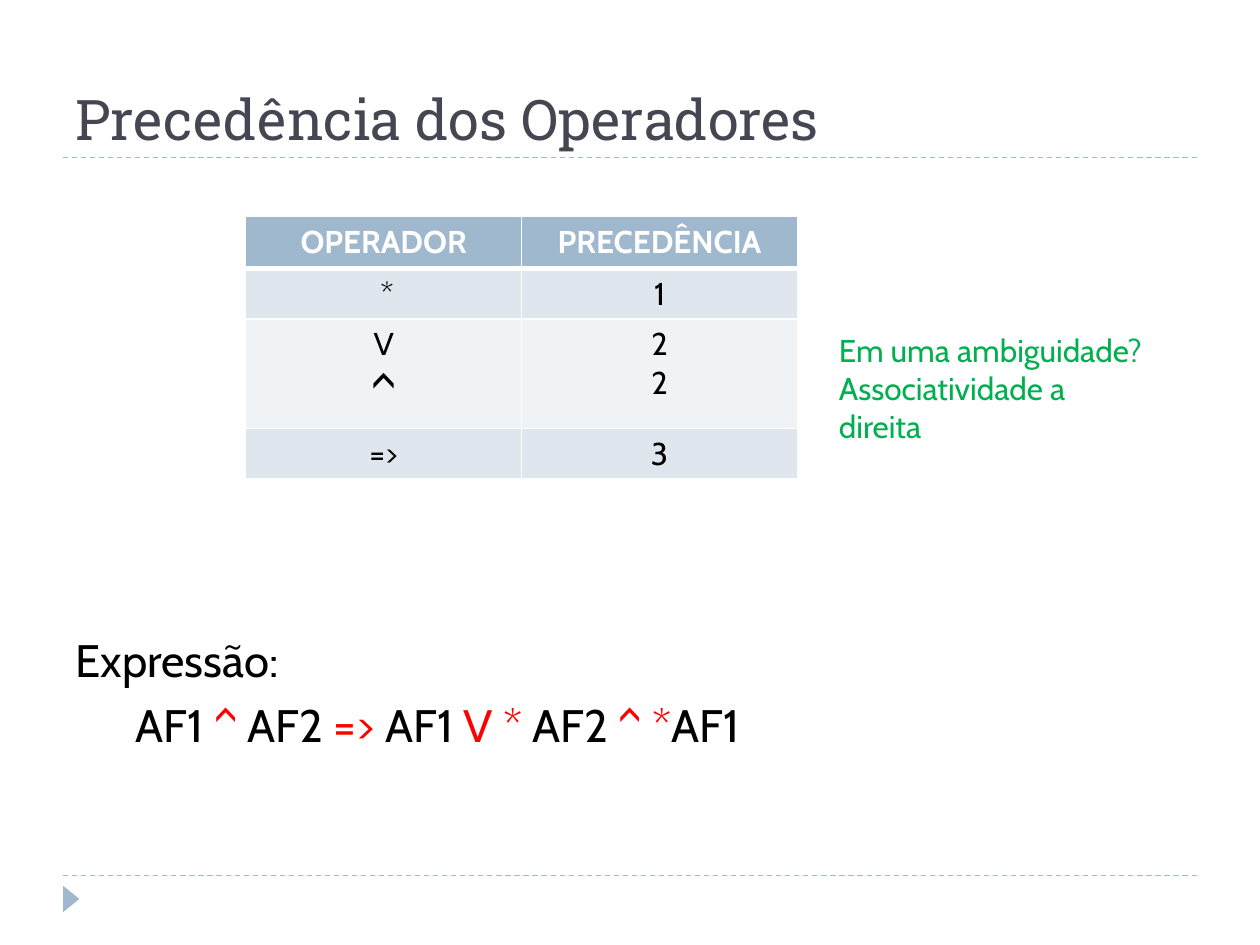
from lxml import etree
from pptx import Presentation
from pptx.dml.color import RGBColor
from pptx.enum.dml import MSO_LINE
from pptx.enum.shapes import MSO_CONNECTOR, MSO_SHAPE
from pptx.enum.text import MSO_ANCHOR, PP_ALIGN
from pptx.oxml import parse_xml
from pptx.oxml.ns import qn
from pptx.util import Inches, Pt

BLUE = RGBColor(0x9F, 0xB8, 0xCD)
BAND_DARK = RGBColor(0xDF, 0xE6, 0xED)
BAND_LIGHT = RGBColor(0xF0, 0xF3, 0xF6)
SLATE = RGBColor(0x46, 0x46, 0x53)
GREEN = RGBColor(0x00, 0xB0, 0x50)
RED = RGBColor(0xFF, 0x00, 0x00)
BLACK = RGBColor(0x00, 0x00, 0x00)
WHITE = RGBColor(0xFF, 0xFF, 0xFF)
DRAWING = "http://schemas.openxmlformats.org/drawingml/2006/main"


def add_span(para, text, size=18, color=BLACK, font="Cabin", bold=False):
    span = para.add_run()
    span.text = text
    span.font.size = Pt(size)
    span.font.name = font
    span.font.bold = bold
    span.font.color.rgb = color


def add_border(cell, side, width):
    border = parse_xml(
        f'<a:{side} xmlns:a="{DRAWING}" w="{Pt(width)}"><a:solidFill>'
        f'<a:srgbClr val="{WHITE}"/></a:solidFill></a:{side}>'
    )
    cell._tc.get_or_add_tcPr().append(border)


deck = Presentation()
deck.slide_width = Inches(10)
deck.slide_height = Inches(7.5)
page = deck.slides.add_slide(deck.slide_layouts[6])

for y in (6.95, 1.25):
    rule = page.shapes.add_connector(
        MSO_CONNECTOR.STRAIGHT, Inches(0.5), Inches(y), Inches(9.5), Inches(y)
    )
    rule.line.color.rgb = BLUE
    rule.line.width = Pt(0.75)
    rule.line.dash_style = MSO_LINE.DASH
    etree.SubElement(rule._element.spPr, qn("a:effectLst"))

marker = page.shapes.add_shape(
    MSO_SHAPE.ISOSCELES_TRIANGLE, Inches(0.46), Inches(7.07), Inches(0.21), Inches(0.13)
)
marker.rotation = 90
marker.shadow.inherit = False
marker.fill.solid()
marker.fill.fore_color.rgb = BLUE
marker.line.fill.background()

title = page.shapes.add_textbox(Inches(0.5), Inches(0.17), Inches(9), Inches(1.08)).text_frame
title.word_wrap = True
title.vertical_anchor = MSO_ANCHOR.BOTTOM
add_span(title.paragraphs[0], "Precedência dos Operadores", size=32, color=SLATE, font="Roboto Slab")

expression = page.shapes.add_textbox(Inches(0.5), Inches(4.97), Inches(9), Inches(1.1)).text_frame
expression.word_wrap = True
add_span(expression.paragraphs[0], "Expressão:", size=26)
formula = expression.add_paragraph()
formula.space_before = Pt(6)
formula._p.get_or_add_pPr().set("marL", str(Inches(0.48)))
parts = ["AF1 ", "^", " AF2 ", "=>", " AF1 ", "V *", " AF2 ", "^ *", "AF1"]
for index, part in enumerate(parts):
    add_span(formula, part, size=26, color=RED if index % 2 else BLACK)

rows = [
    (0.41, BLUE, ["OPERADOR"], ["PRECEDÊNCIA"]),
    (0.4, BAND_DARK, [" *"], ["1"]),
    (0.87, BAND_LIGHT, ["V", "^"], ["2", "2"]),
    (0.4, BAND_DARK, ["=>"], ["3"]),
]
table = page.shapes.add_table(
    len(rows), 2, Inches(1.95), Inches(1.72), Inches(4.38), Inches(2.08)
).table
for row_index, (height, fill, *columns) in enumerate(rows):
    table.rows[row_index].height = Inches(height)
    header = row_index == 0
    for column_index, lines in enumerate(columns):
        cell = table.cell(row_index, column_index)
        for side in ("lnL", "lnR", "lnT", "lnB"):
            thick = (header and side == "lnB") or (row_index == 1 and side == "lnT")
            add_border(cell, side, 3 if thick else 1)
        cell.fill.solid()
        cell.fill.fore_color.rgb = fill
        for line_index, text in enumerate(lines):
            frame = cell.text_frame
            para = frame.add_paragraph() if line_index else frame.paragraphs[0]
            para.alignment = PP_ALIGN.CENTER
            add_span(para, text, size=28 if text == "^" else 18,
                     color=WHITE if header else BLACK, bold=header)

note = page.shapes.add_textbox(Inches(6.56), Inches(2.58), Inches(2.66), Inches(0.71)).text_frame
note.word_wrap = True
add_span(note.paragraphs[0], "Em uma ambiguidade?", color=GREEN)
add_span(note.add_paragraph(), "Associatividade a direita", color=GREEN)

deck.save("out.pptx")
